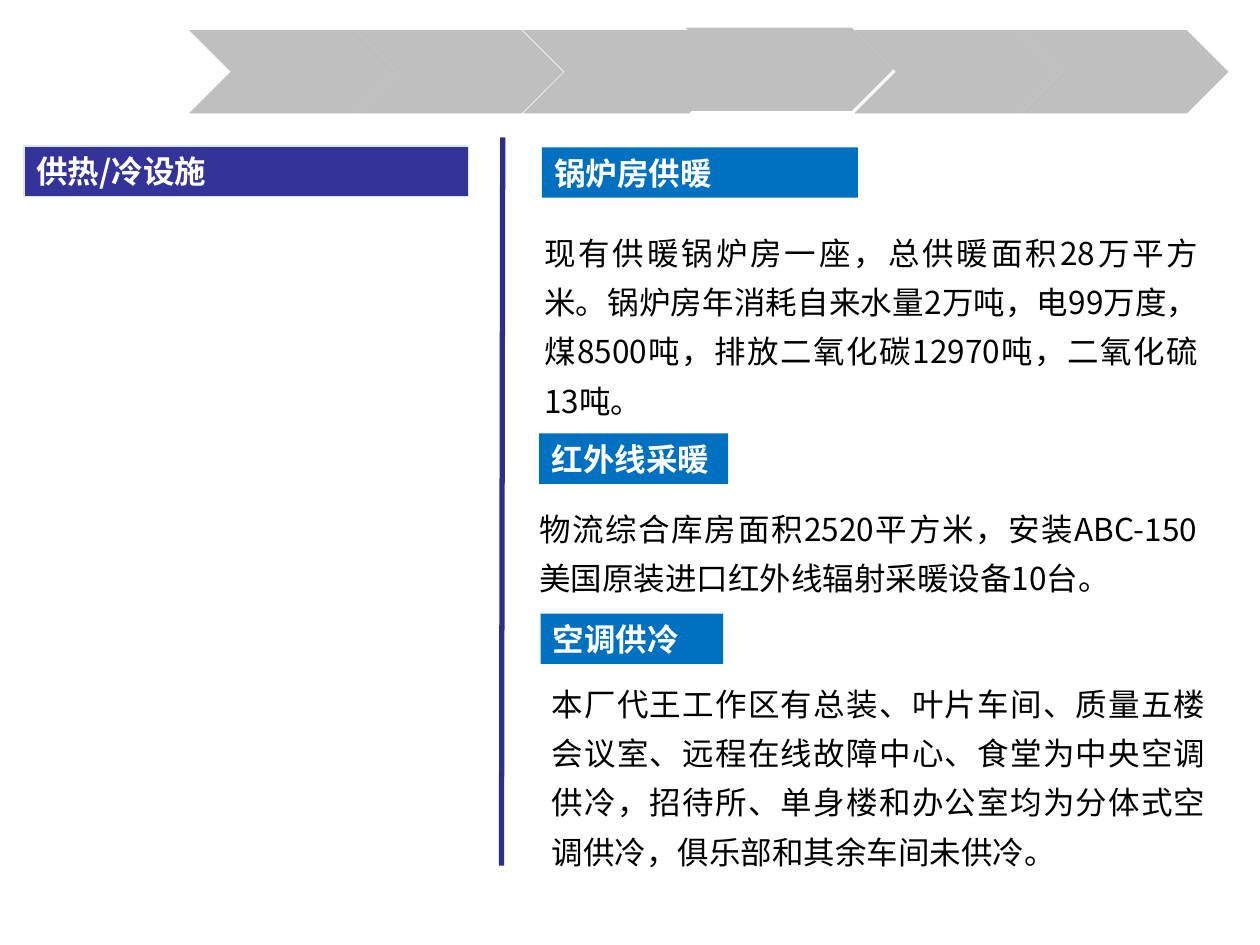
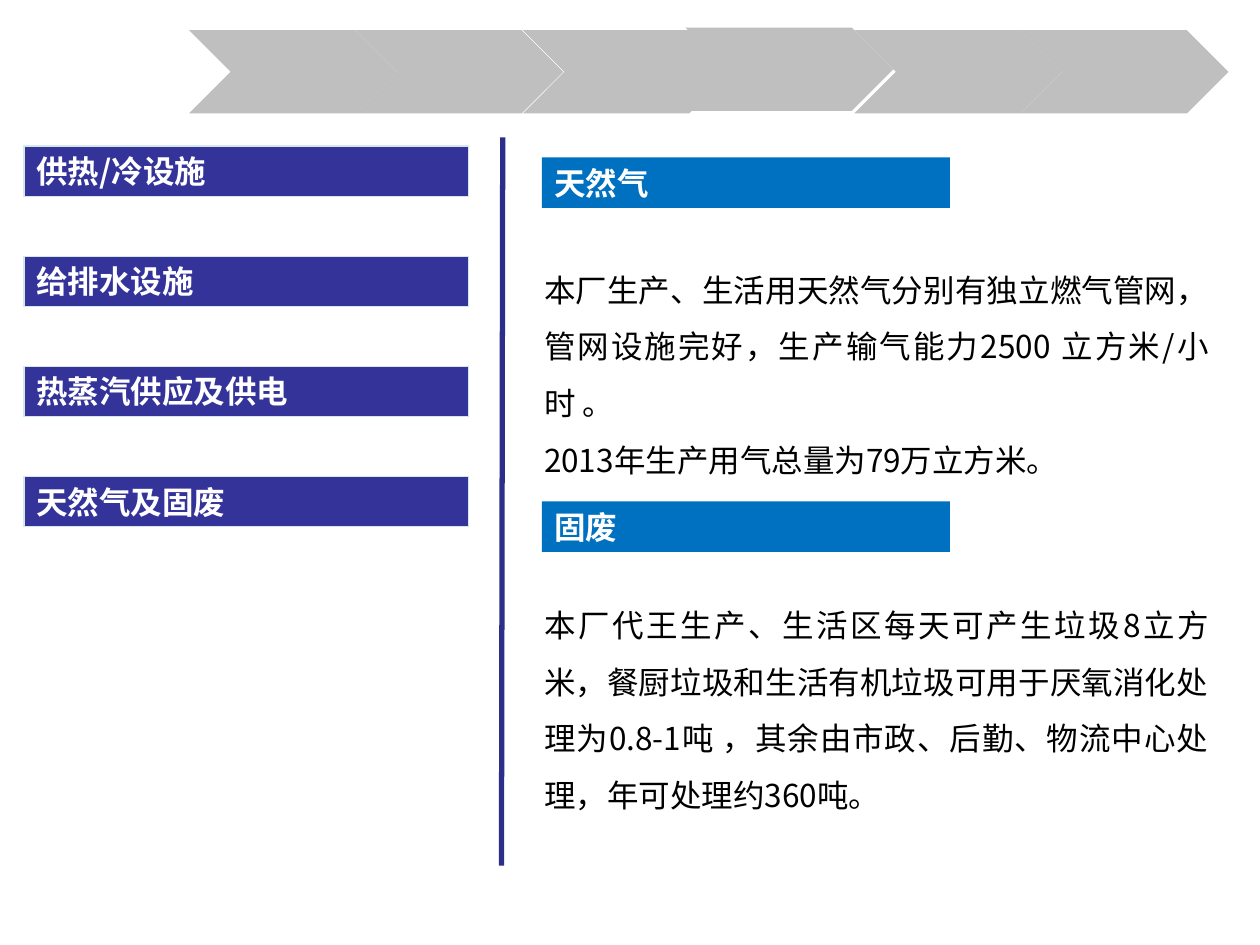
from dataclasses import dataclass

import pptx
import pptx.dml.color
import pptx.enum.shapes
import pptx.enum.text
import pptx.oxml.ns
import pptx.slide
import pptx.text.text
import pptx.util
from lxml import etree

Inches = pptx.util.Inches
Shape = pptx.enum.shapes.MSO_SHAPE
Align = pptx.enum.text.PP_ALIGN

# Shared style
FONT = "Noto Sans CJK SC"
TEXT_SIZE = 18
BLACK, WHITE = "000000", "FFFFFF"
GRAY, NAVY, BLUE = "BFBFBF", "333399", "0070C0"
RULE, TOPIC_EDGE = "2D2D8A", "D5E7E9"
LABEL_HEIGHT = 0.4
CHEVRONS = [(1.5, 0.24), (2.82, 0.24), (4.15, 0.24),
            (5.44, 0.22), (6.78, 0.24), (8.1, 0.24)]
TOPICS = ["供热/冷设施", "给排水设施", "热蒸汽供应及供电", "天然气及固废"]
FIRST_TOPIC_TOP, LAST_TOPIC_TOP = 1.16, 3.78
TOPIC_STEP = (LAST_TOPIC_TOP - FIRST_TOPIC_TOP) / (len(TOPICS) - 1)


@dataclass
class Box:
    left: float
    top: float
    width: float
    height: float = LABEL_HEIGHT

    def lengths(self) -> list[pptx.util.Length]:
        return [Inches(v) for v in (self.left, self.top, self.width, self.height)]


@dataclass
class Section:
    heading: str
    heading_box: Box
    paragraphs: list[str]
    body_box: Box


@dataclass
class Page:
    topic_count: int
    line_spacing: float
    sections: list[Section]


PAGES = [
    Page(1, 1.3, [
        Section("锅炉房供暖", Box(4.3, 1.17, 2.51),
                ["现有供暖锅炉房一座，总供暖面积28万平方米。锅炉房年消耗自来水量2万吨，"
                 "电99万度，煤8500吨，排放二氧化碳12970吨，二氧化硫13吨。"],
                Box(4.22, 1.72, 5.39, 1.66)),
        Section("红外线采暖", Box(4.28, 3.44, 1.5),
                ["物流综合库房面积2520平方米，安装ABC-150美国原装进口红外线辐射采暖设备10台。"],
                Box(4.18, 3.91, 5.42, 1.27)),
        Section("空调供冷", Box(4.29, 4.87, 1.45),
                ["本厂代王工作区有总装、叶片车间、质量五楼会议室、远程在线故障中心、"
                 "食堂为中央空调供冷，招待所、单身楼和办公室均为分体式空调供冷，"
                 "俱乐部和其余车间未供冷。"],
                Box(4.28, 5.3, 5.39, 1.66)),
    ]),
    Page(4, 1.5, [
        Section("天然气", Box(4.3, 1.25, 3.24),
                ["本厂生产、生活用天然气分别有独立燃气管网，管网设施完好，"
                 "生产输气能力2500 立方米/小时 。",
                 "2013年生产用气总量为79万立方米。"],
                Box(4.22, 1.95, 5.47, 1.9)),
        Section("固废", Box(4.3, 3.98, 3.24),
                ["本厂代王生产、生活区每天可产生垃圾8立方米，餐厨垃圾和生活有机垃圾"
                 "可用于厌氧消化处理为0.8-1吨 ，其余由市政、后勤、物流中心处理，"
                 "年可处理约360吨。"],
                Box(4.22, 4.61, 5.47, 1.9)),
    ]),
]


def rgb(value: str) -> pptx.dml.color.RGBColor:
    return pptx.dml.color.RGBColor.from_string(value)


def format_runs(p: pptx.text.text._Paragraph, color: str, bold: bool) -> None:
    for r in p.runs:
        r.font.size = pptx.util.Pt(TEXT_SIZE)
        r.font.bold = bold
        r.font.color.rgb = rgb(color)
        r.font.name = FONT
        # East Asian typeface
        ea = etree.SubElement(r.font._element, pptx.oxml.ns.qn("a:ea"))
        ea.set("typeface", FONT)


def add_filled(s: pptx.slide.Slide, kind: Shape, box: Box, fill: str, edge: str = ""):
    sp = s.shapes.add_shape(kind, *box.lengths())
    sp.shadow.inherit = False
    sp.fill.solid()
    sp.fill.fore_color.rgb = rgb(fill)
    if edge:
        sp.line.color.rgb = rgb(edge)
        sp.line.width = pptx.util.Pt(0.75)
    else:
        sp.line.fill.background()
    return sp


def add_label(s: pptx.slide.Slide, text: str, box: Box, fill: str, edge: str = "") -> None:
    tf = add_filled(s, Shape.RECTANGLE, box, fill, edge).text_frame
    tf.word_wrap = True
    tf.vertical_anchor = pptx.enum.text.MSO_ANCHOR.MIDDLE
    tf.text = text
    p = tf.paragraphs[0]
    p.alignment = Align.LEFT
    format_runs(p, WHITE, True)


def add_body(s: pptx.slide.Slide, section: Section, line_spacing: float) -> None:
    tf = s.shapes.add_textbox(*section.body_box.lengths()).text_frame
    tf.word_wrap = True
    tf.text = "\n".join(section.paragraphs)
    for p in tf.paragraphs:
        p.alignment = Align.JUSTIFY
        p.line_spacing = line_spacing
        # Keep punctuation inside the right margin
        p._p.get_or_add_pPr().set("hangingPunct", "0")
        format_runs(p, BLACK, False)


def add_divider(s: pptx.slide.Slide) -> None:
    line = s.shapes.add_connector(
        pptx.enum.shapes.MSO_CONNECTOR.STRAIGHT,
        Inches(3.99), Inches(1.09), Inches(3.98), Inches(6.87))
    line.line.color.rgb = rgb(RULE)
    line.line.width = pptx.util.Pt(3)
    etree.SubElement(line._element.spPr, pptx.oxml.ns.qn("a:effectLst"))


def add_page(prs, page: Page) -> None:
    s = prs.slides.add_slide(prs.slide_layouts[6])
    add_divider(s)
    # Right column: headings and text
    for section in page.sections:
        add_body(s, section, page.line_spacing)
        add_label(s, section.heading, section.heading_box, BLUE)
    # Process band
    for left, top in CHEVRONS:
        add_filled(s, Shape.CHEVRON, Box(left, top, 1.65, 0.66), GRAY)
    # Left column: topics reached so far
    for i, topic in enumerate(TOPICS[:page.topic_count]):
        box = Box(0.19, FIRST_TOPIC_TOP + i * TOPIC_STEP, 3.53)
        add_label(s, topic, box, NAVY, TOPIC_EDGE)


def main() -> None:
    prs = pptx.Presentation()
    prs.slide_width, prs.slide_height = Inches(10), Inches(7.5)
    for page in PAGES:
        add_page(prs, page)
    prs.save("out.pptx")


if __name__ == "__main__":
    main()
